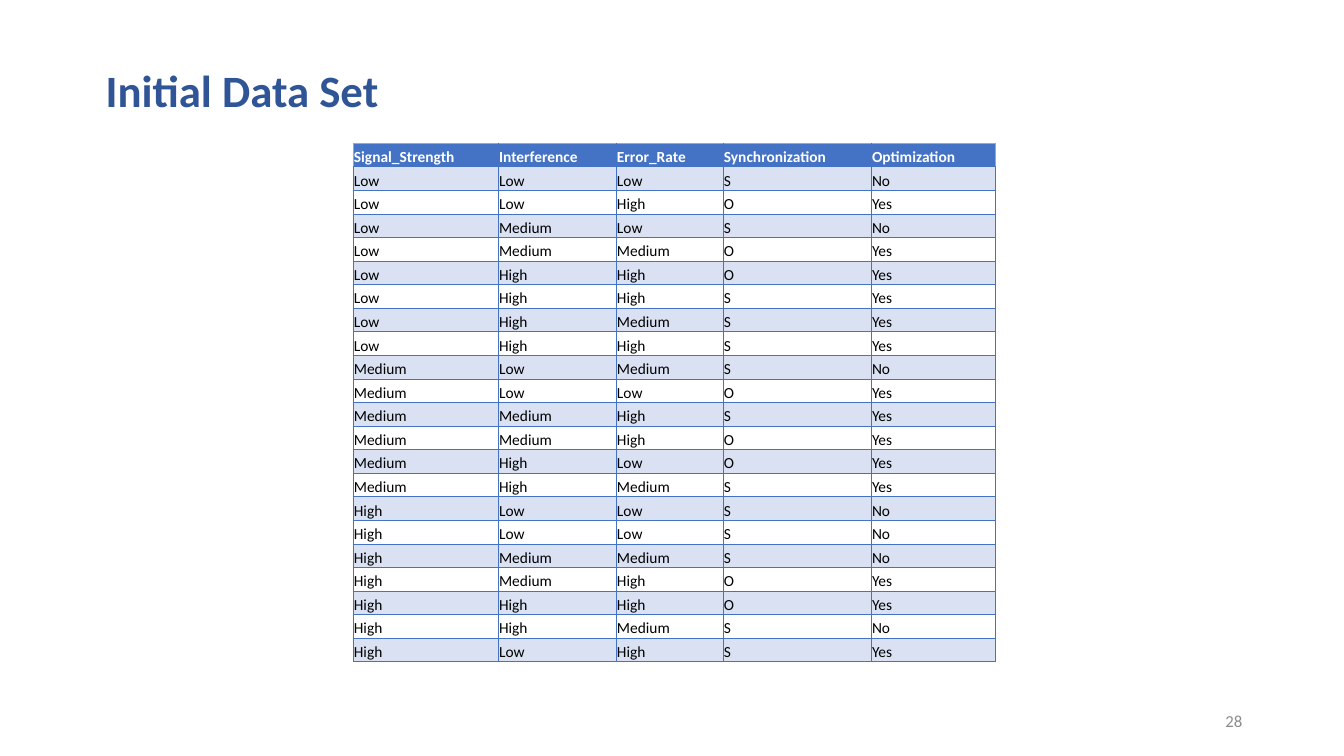
from lxml import etree
from pptx import Presentation, util as u
from pptx.dml.color import RGBColor
from pptx.enum import text as t
from pptx.oxml.ns import qn

HUES = {"title": "2F5597", "head": "4472C4", "edge": "8EA9DB", "band": "D9E1F2",
        "white": "FFFFFF", "black": "000000", "gray": "8C8C8C"}

HEAD = ["Signal_Strength", "Interference", "Error_Rate", "Synchronization", "Optimization"]
DATA = """Low Low Low S No
Low Low High O Yes
Low Medium Low S No
Low Medium Medium O Yes
Low High High O Yes
Low High High S Yes
Low High Medium S Yes
Low High High S Yes
Medium Low Medium S No
Medium Low Low O Yes
Medium Medium High S Yes
Medium Medium High O Yes
Medium High Low O Yes
Medium High Medium S Yes
High Low Low S No
High Low Low S No
High Medium Medium S No
High Medium High O Yes
High High High O Yes
High High Medium S No
High Low High S Yes"""
ROWS = [HEAD] + [line.split() for line in DATA.splitlines()]
COLS = [1.44, 1.17, 1.06, 1.47, 1.23]
HIGH = 5.15


def write(frame, words, size, hue, bold=False):
    run = frame.paragraphs[0].add_run()
    run.text = words
    for key, val in {"name": "Calibri", "size": u.Pt(size), "bold": bold}.items():
        setattr(run.font, key, val)
    run.font.color.rgb = RGBColor.from_string(HUES[hue])


def border(cell, sides):
    props = cell._tc.get_or_add_tcPr()
    for spot, (side, hue) in enumerate(sides.items()):
        line = etree.Element(qn("a:ln" + side), w=str(u.Pt(0.5)))
        fill = etree.SubElement(line, qn("a:solidFill"))
        etree.SubElement(fill, qn("a:srgbClr"), val=HUES[hue])
        props.insert(spot, line)


deck = Presentation()
deck.slide_width, deck.slide_height = u.Inches(13.33), u.Inches(7.5)
slide = deck.slides.add_slide(deck.slide_layouts[6])

area = [u.Inches(n) for n in (3.5, 1.42, sum(COLS), HIGH)]
grid = slide.shapes.add_table(len(ROWS), len(COLS), *area).table
grid.first_row = grid.horz_banding = False
for col, wide in zip(grid.columns, COLS):
    col.width = u.Inches(wide)
for row in grid.rows:
    row.height = u.Inches(HIGH / len(ROWS))

PAD = u.Inches(0.01)
CELL = {"margin_left": PAD, "margin_right": PAD, "margin_top": PAD, "margin_bottom": 0,
        "vertical_anchor": t.MSO_ANCHOR.BOTTOM}
for r, row in enumerate(ROWS):
    top = r == 0
    for c, words in enumerate(row):
        cell = grid.cell(r, c)
        for key, val in CELL.items():
            setattr(cell, key, val)
        write(cell.text_frame, words, 11, "white" if top else "black", top)
        if top or r % 2:
            cell.fill.solid()
            cell.fill.fore_color.rgb = RGBColor.from_string(HUES["head" if top else "band"])
        else:
            cell.fill.background()
        border(cell, {"L": "edge" if top and c == 0 else "head",
                      "R": "edge" if top and c == len(COLS) - 1 else "head",
                      "T": "edge" if top else "head",
                      "B": "head"})

LABELS = [
    ("Initial Data Set", (0.95, 0.57, 2.99, 0.64), 32, "title", True,
     t.MSO_ANCHOR.TOP, t.PP_ALIGN.LEFT),
    ("28", (9.42, 6.95, 3, 0.4), 12, "gray", False,
     t.MSO_ANCHOR.MIDDLE, t.PP_ALIGN.RIGHT),
]
for words, area, size, hue, bold, anchor, align in LABELS:
    frame = slide.shapes.add_textbox(*[u.Inches(n) for n in area]).text_frame
    frame.word_wrap = True
    frame.vertical_anchor = anchor
    frame.paragraphs[0].alignment = align
    write(frame, words, size, hue, bold)

deck.save("out.pptx")
